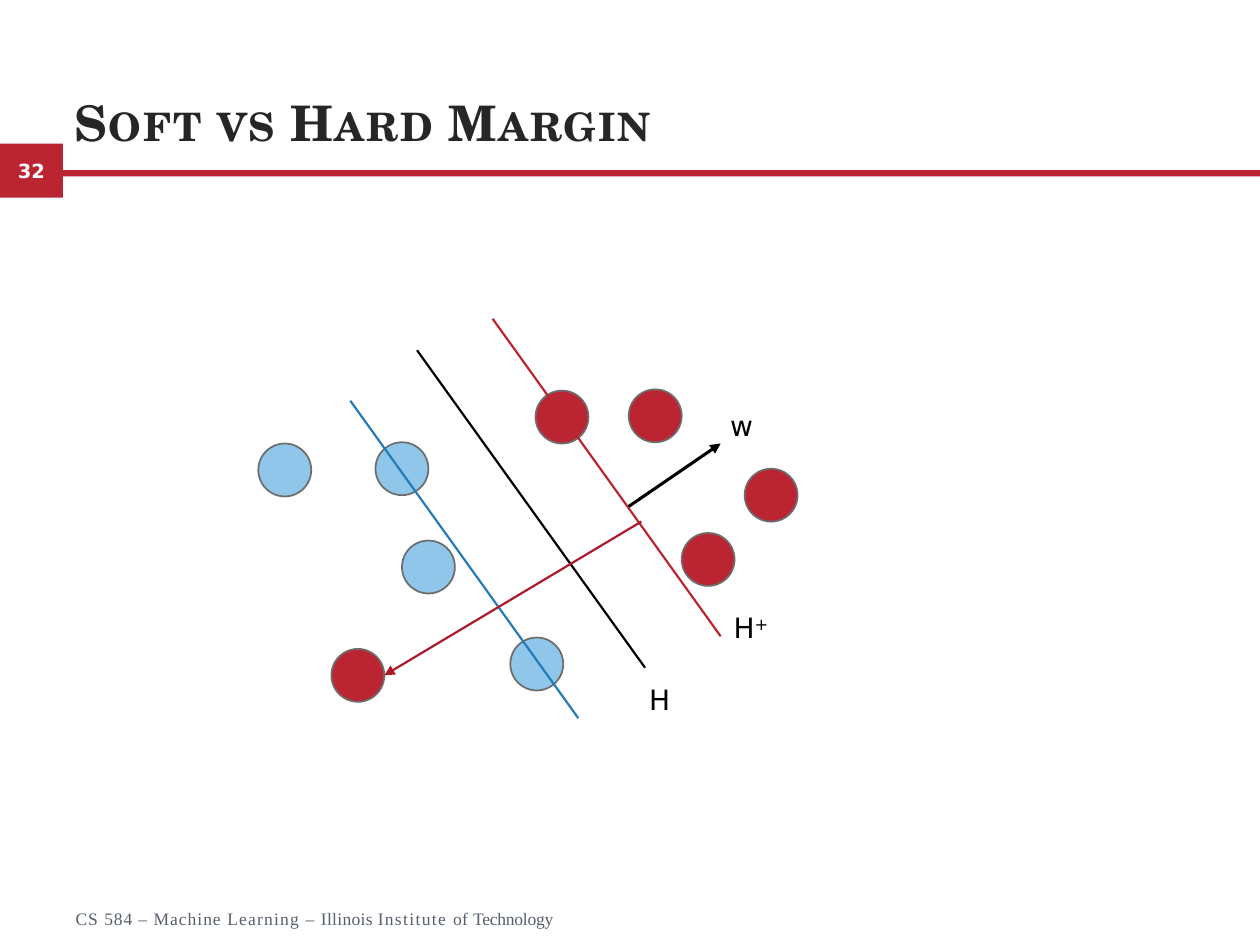
from lxml import etree
from pptx import Presentation
from pptx.dml.color import RGBColor
from pptx.enum.shapes import MSO_CONNECTOR, MSO_SHAPE
from pptx.enum.text import MSO_ANCHOR, MSO_AUTO_SIZE, PP_ALIGN
from pptx.oxml.ns import qn
from pptx.util import Inches, Pt

RECT, OVAL = MSO_SHAPE.RECTANGLE, MSO_SHAPE.OVAL
STRAIGHT = MSO_CONNECTOR.STRAIGHT
TOP, MIDDLE, BOTTOM = MSO_ANCHOR.TOP, MSO_ANCHOR.MIDDLE, MSO_ANCHOR.BOTTOM
NO_FIT, GROW = MSO_AUTO_SIZE.NONE, MSO_AUTO_SIZE.SHAPE_TO_FIT_TEXT
LEFT, CENTER = PP_ALIGN.LEFT, PP_ALIGN.CENTER

RED = RGBColor(0xBB, 0x25, 0x32)
DARK_RED = RGBColor(0xAB, 0x19, 0x2D)
SKY = RGBColor(0x90, 0xC6, 0xEA)
BLUE = RGBColor(0x23, 0x7C, 0xB7)
OUTLINE = RGBColor(0x6D, 0x6D, 0x6D)
INK = RGBColor(0x26, 0x26, 0x26)
SLATE = RGBColor(0x56, 0x5F, 0x6C)
BLACK = RGBColor(0, 0, 0)
WHITE = RGBColor(0xFF, 0xFF, 0xFF)

BADGE = dict(name="DejaVu Sans", size=Pt(11.1), bold=True)
TITLE = dict(name="TeX Gyre Schola", size=Pt(28), bold=True)
FOOTER = dict(name="Times New Roman", size=Pt(10))
LABEL = dict(name="DejaVu Sans", size=Pt(16))

DIAMETER = 0.42
MARGIN_RUN, MARGIN_DROP = 1.81, 2.52
BLUE_POINTS = [(2.05, 3.52), (3.19, 4.29), (2.98, 3.51), (4.05, 5.06)]
RED_POINTS = [(4.99, 3.09), (5.41, 4.23), (4.25, 3.1), (2.63, 5.15), (5.91, 3.72)]
MARGINS = [(3.31, 2.78, BLACK), (2.78, 3.18, BLUE), (3.91, 2.53, RED)]
FOOTER_RUNS = [
    ("CS ", 60), ("584 ", 50), ("– Machine ", 60), ("Learning ", 70), ("– ", 60),
    ("Illinois ", 20), ("Institute ", 80), ("of ", 20), ("Technology", -10),
]


def add_run(p, text, font, color, **attrs):
    """Append a run with font values and extra run attributes."""
    r = p.add_run()
    r.text = text
    for key, value in font.items():
        setattr(r.font, key, value)
    r.font.color.rgb = color
    for key, value in attrs.items():
        r.font._element.set(key, value)


def add_filled(slide, kind, box, fill, outline=None):
    """Add a preset shape with a flat fill and an optional outline."""
    s = slide.shapes.add_shape(kind, *map(Inches, box))
    s.shadow.inherit = False
    s.fill.solid()
    s.fill.fore_color.rgb = fill
    if outline is None:
        s.line.fill.background()
    else:
        s.line.color.rgb = outline
        s.line.width = Pt(1)
    return s


def add_line(slide, start, end, color, width=1.25, arrow=False):
    """Add a straight line, with an arrowhead at its end if asked."""
    s = slide.shapes.add_connector(STRAIGHT, *map(Inches, start + end))
    s.line.color.rgb = color
    s.line.width = Pt(width)
    if arrow:
        etree.SubElement(s.line._get_or_add_ln(), qn("a:tailEnd"), type="triangle")
    etree.SubElement(s._element.spPr, qn("a:effectLst"))


def add_text_box(slide, box, anchor=TOP):
    """Add a wrapping text box without insets and return its paragraph."""
    tf = slide.shapes.add_textbox(*map(Inches, box)).text_frame
    values = dict(margin_left=0, margin_top=0, margin_right=0, margin_bottom=0,
                  word_wrap=True, auto_size=GROW, vertical_anchor=anchor)
    for key, value in values.items():
        setattr(tf, key, value)
    p = tf.paragraphs[0]
    p.alignment = LEFT
    return p


def add_label(slide, box, text, superscript=""):
    """Add a centred diagram label with an optional superscript."""
    tf = slide.shapes.add_textbox(*map(Inches, box)).text_frame
    tf.word_wrap = False
    tf.auto_size = NO_FIT
    p = tf.paragraphs[0]
    p.alignment = CENTER
    add_run(p, text, LABEL, BLACK)
    if superscript:
        add_run(p, superscript, LABEL, BLACK, baseline="30000")


def add_frame(slide):
    """Add the page badge, rule, title and footer."""
    tf = add_filled(slide, RECT, (0, 1.14, 0.5, 0.43), RED).text_frame
    tf.vertical_anchor = MIDDLE
    tf.margin_left = tf.margin_right = 0
    p = tf.paragraphs[0]
    p.alignment = CENTER
    add_run(p, "32", BADGE, WHITE)
    add_filled(slide, RECT, (0.5, 1.35, 9.5, 0.05), RED)
    p = add_text_box(slide, (0.59, 0.72, 9.41, 0.48), BOTTOM)
    add_run(p, "Soft vs Hard Margin", TITLE, INK, cap="small", spc="110")
    p = add_text_box(slide, (0.6, 7.21, 3.94, 0.2))
    for text, spacing in FOOTER_RUNS:
        add_run(p, text, FOOTER, SLATE, spc=str(spacing))


def add_diagram(slide):
    """Add the two classes, the margins, the arrows and the labels."""
    for points, color in ((BLUE_POINTS, SKY), (RED_POINTS, RED)):
        for x, y in points:
            add_filled(slide, OVAL, (x, y, DIAMETER, DIAMETER), color, OUTLINE)
    for x, y, color in MARGINS:
        add_line(slide, (x, y), (x + MARGIN_RUN, y + MARGIN_DROP), color)
    add_line(slide, (4.99, 4.02), (5.72, 3.52), BLACK, 1.75, arrow=True)
    add_line(slide, (5.09, 4.14), (3.05, 5.36), DARK_RED, arrow=True)
    add_label(slide, (4.94, 5.37, 0.59, 0.35), "H")
    add_label(slide, (5.69, 4.8, 0.54, 0.29), "H", "+")
    add_label(slide, (5.59, 3.19, 0.59, 0.35), "w")


def main():
    """Build the slide and save it."""
    prs = Presentation()
    prs.slide_width, prs.slide_height = Inches(10), Inches(7.5)
    slide = prs.slides.add_slide(prs.slide_layouts[6])
    add_frame(slide)
    add_diagram(slide)
    prs.save("out.pptx")


if __name__ == "__main__":
    main()
